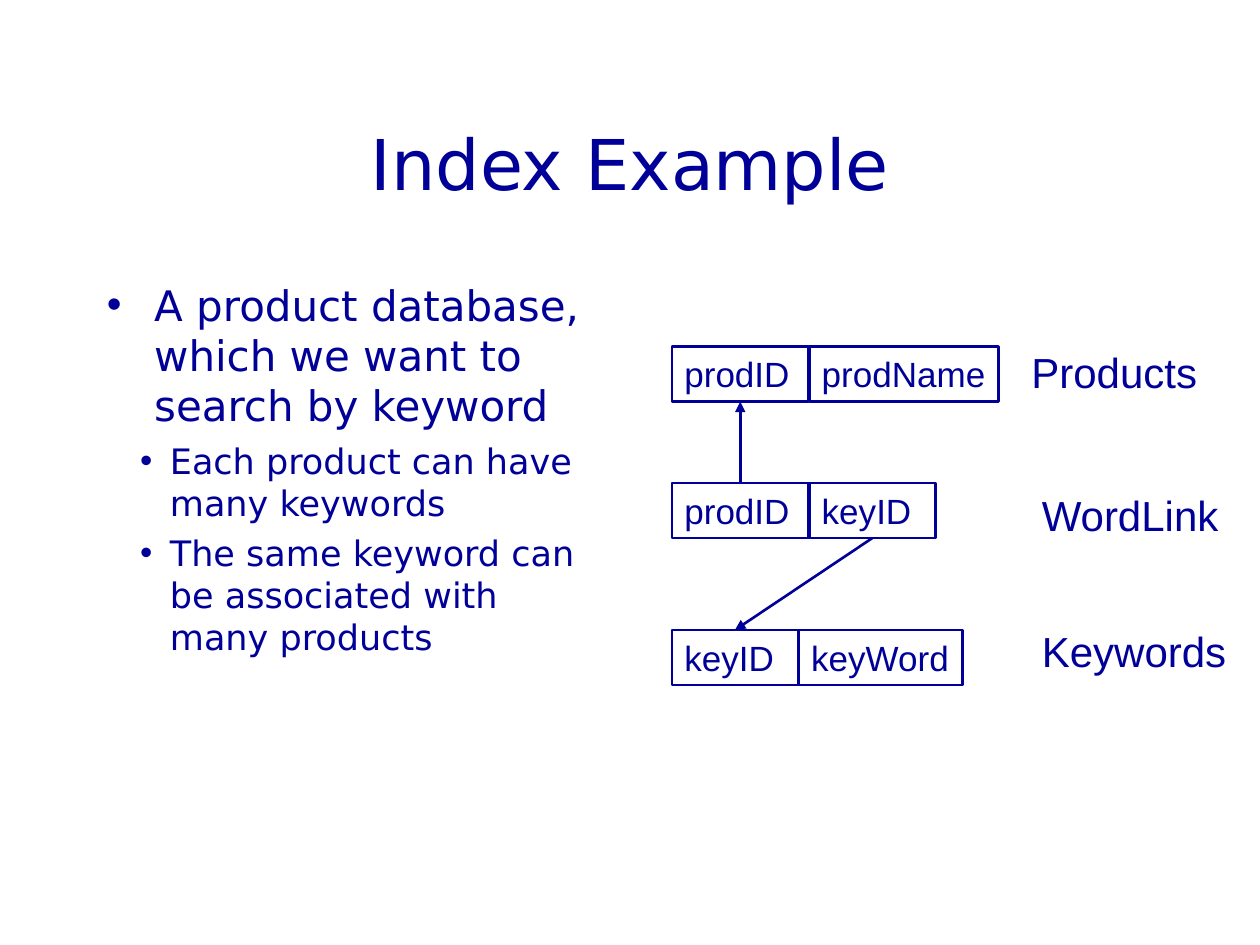
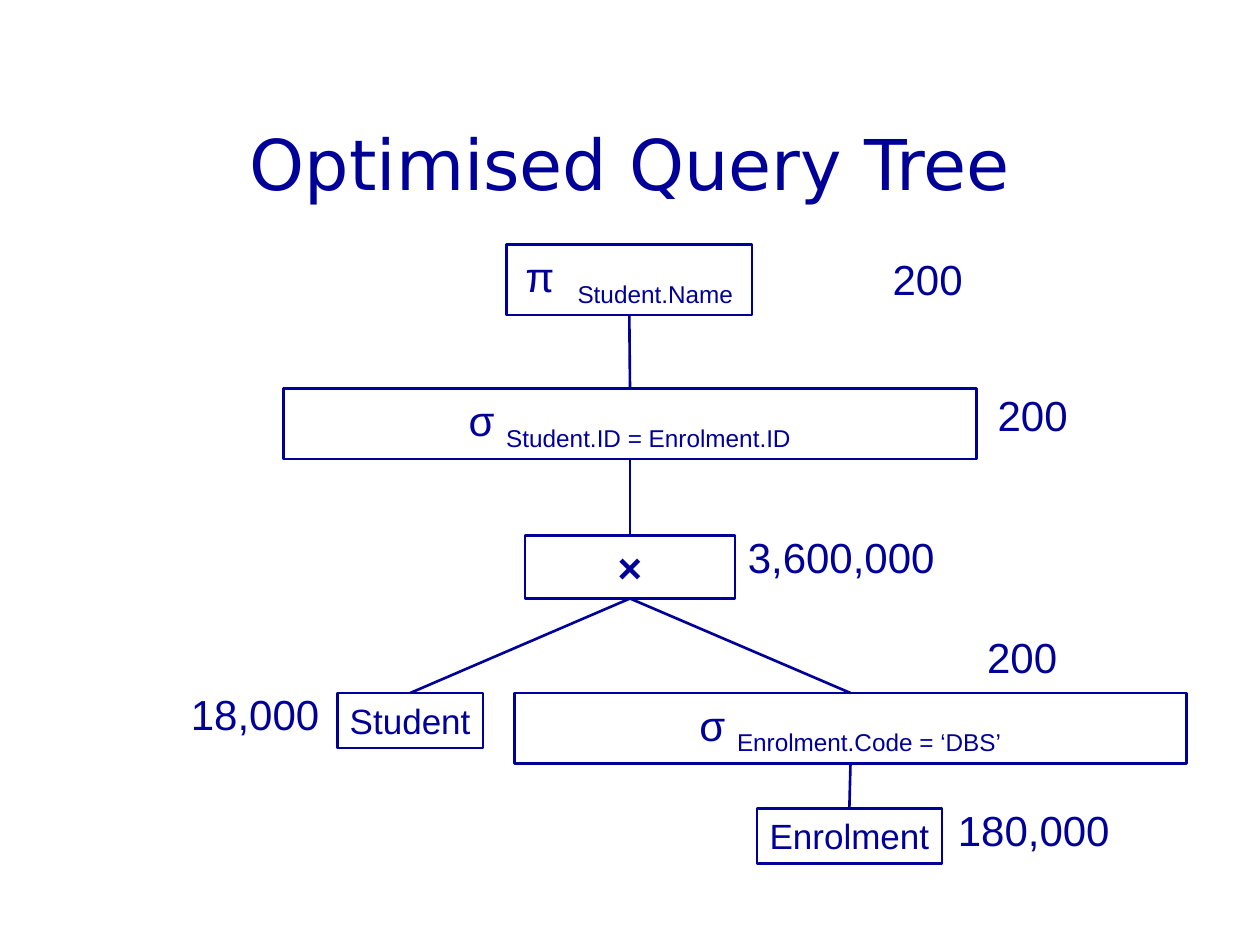
from pptx import Presentation
from pptx.dml.color import RGBColor
from pptx.enum.shapes import MSO_CONNECTOR as Conn, MSO_SHAPE as Kind
from pptx.enum.text import MSO_ANCHOR as Anchor, MSO_AUTO_SIZE as Auto, PP_ALIGN as Align
from pptx.oxml.ns import qn
from pptx.util import Pt
from lxml.etree import SubElement

# Shared style
NAVY = "000099"
HEAD, TEXT = "DejaVu Sans", "Arial"
LINE = 1.5
TITLE = (54, 48, 612, 90)
TOP, BOTTOM = 0, 2

# Slide 1 content: (level, text)
POINTS = [
    (0, "A product database, which we want to search by keyword"),
    (1, "Each product can have many keywords"),
    (1, "The same keyword can be associated with many products"),
]
LEVELS = [
    {"size": 24, "left": 27, "hang": 27, "before": 6},
    {"size": 20, "left": 36, "hang": 17, "before": 5},
]
# Table name, its left, top and width, top of the cells, (field, width, wrap)
TABLES = [
    ("Products", 582.25, 194.5, 109, 198, [("prodID", 78, True), ("prodName", 108, False)]),
    ("WordLink", 588.25, 276, 116, 276, [("prodID", 78, True), ("keyID", 72, True)]),
    ("Keywords", 588.25, 354, 120, 360, [("keyID", 72, True), ("keyWord", 93.6, False)]),
]
CELL_X, CELL_H, GAP = 384, 31.5, 0.5
KEYS = [((1, 0), (0, 0)), ((1, 1), (2, 0))]

# Slide 2 content: name, box, size, symbol, subscript
NODES = {
    "name": ((289.5, 139.75, 140.25, 40.25), 24, "π ", "Student.Name"),
    "join": ((162, 222, 396, 40.25), 24, "σ ", "Student.ID = Enrolment.ID"),
    "times": ((300, 306, 120, 36), 24, "×", ""),
    "student": ((192.75, 396, 83.25, 31.5), 20, "Student", ""),
    "code": ((294, 396, 384, 40.25), 24, "σ ", "Enrolment.Code = ‘DBS’"),
    "enrol": ((432.5, 462, 105.75, 31.5), 20, "Enrolment", ""),
}
EDGES = [("name", "join"), ("join", "times"), ("times", "student"),
         ("times", "code"), ("code", "enrol")]
# Row counts: text, left, top, width
COUNTS = [
    ("200", 503, 141.25, 56), ("200", 563, 219, 56),
    ("3,600,000", 420.25, 300, 121), ("200", 557, 357.25, 56),
    ("18,000", 102, 390, 88), ("180,000", 540.25, 456, 101),
]


def color(code):
    return RGBColor.from_string(code)


def put(obj, vals):
    for key, val in vals.items():
        setattr(obj, key, val)


def area(box):
    return [Pt(n) for n in box]


def write(para, text, size, face=TEXT, **more):
    run = para.add_run()
    run.text = text
    put(run.font, {"size": Pt(size), "name": face, **more})
    run.font.color.rgb = color(NAVY)
    return run


def frame(shape, wrap, fit=Auto.SHAPE_TO_FIT_TEXT, anchor=Anchor.TOP):
    put(shape.text_frame, {
        "word_wrap": wrap, "auto_size": fit, "vertical_anchor": anchor,
        "margin_left": Pt(7.2), "margin_right": Pt(7.2),
        "margin_top": Pt(3.6), "margin_bottom": Pt(3.6)})
    return shape.text_frame.paragraphs[0]


def start(deck, text):
    slide = deck.slides.add_slide(deck.slide_layouts[5])
    title = slide.shapes.title
    put(title, dict(zip(("left", "top", "width", "height"), area(TITLE))))
    para = frame(title, True, Auto.NONE, Anchor.MIDDLE)
    para.alignment = Align.CENTER
    write(para, text, 40, HEAD)
    return slide


def rect(slide, box, wrap, align):
    shape = slide.shapes.add_shape(Kind.RECTANGLE, *area(box))
    shape.shadow.inherit = False
    shape.fill.background()
    shape.line.color.rgb = color(NAVY)
    shape.line.width = Pt(LINE)
    para = frame(shape, wrap)
    para.alignment = align
    return shape, para


def label(slide, text, x, y, w):
    box = slide.shapes.add_textbox(*area((x, y, w, 36)))
    write(frame(box, False), text, 24)


def link(slide, src, dst, arrow=False):
    wire = slide.shapes.add_connector(Conn.STRAIGHT, 0, 0, 0, 0)
    down = src.top < dst.top
    wire.begin_connect(src, BOTTOM if down else TOP)
    wire.end_connect(dst, TOP if down else BOTTOM)
    wire.line.color.rgb = color(NAVY)
    wire.line.width = Pt(LINE)
    if arrow:
        props = wire._element.spPr.find(qn("a:ln"))
        SubElement(props, qn("a:tailEnd"), type="triangle")
    SubElement(wire._element.spPr, qn("a:effectLst"))


def bullets(slide):
    box = slide.shapes.add_textbox(*area((54, 156, 300, 324)))
    para = frame(box, True, Auto.NONE)
    for num, (level, text) in enumerate(POINTS):
        look = LEVELS[level]
        if num:
            para = box.text_frame.add_paragraph()
            para.space_before = Pt(look["before"])
        para.level = level
        props = para._p.get_or_add_pPr()
        props.set("marL", str(Pt(look["left"])))
        props.set("indent", str(-Pt(look["hang"])))
        SubElement(props, qn("a:buFont"), typeface=TEXT)
        SubElement(props, qn("a:buChar"), char="•")
        write(para, text, look["size"], HEAD)


def index(deck):
    slide = start(deck, "Index Example")
    bullets(slide)

    # Table rows with their names
    cells = {}
    for row, (name, x, y, w, top, fields) in enumerate(TABLES):
        left = CELL_X
        for col, (field, wide, wrap) in enumerate(fields):
            shape, para = rect(slide, (left, top, wide, CELL_H), wrap, Align.LEFT)
            write(para, field, 20)
            cells[row, col] = shape
            left += wide + GAP
        label(slide, name, x, y, w)

    # Foreign keys
    for src, dst in KEYS:
        link(slide, cells[src], cells[dst], arrow=True)


def tree(deck):
    slide = start(deck, "Optimised Query Tree")

    # Operators and relations
    nodes = {}
    for key, (box, size, sign, sub) in NODES.items():
        wrap = key in ("join", "times", "code")
        nodes[key], para = rect(slide, box, wrap, Align.CENTER)
        run = write(para, sign, size, bold=key == "times")
        if key == "name":
            run._r.get_or_add_rPr().set("spc", "330")
        if sub:
            run = write(para, sub, size)
            run._r.get_or_add_rPr().set("baseline", "-25000")

    # Branches and row counts
    for src, dst in EDGES:
        link(slide, nodes[src], nodes[dst])
    for count in COUNTS:
        label(slide, *count)


def main():
    deck = Presentation()
    put(deck, {"slide_width": Pt(720), "slide_height": Pt(540)})
    index(deck)
    tree(deck)
    deck.save("out.pptx")


if __name__ == "__main__":
    main()
